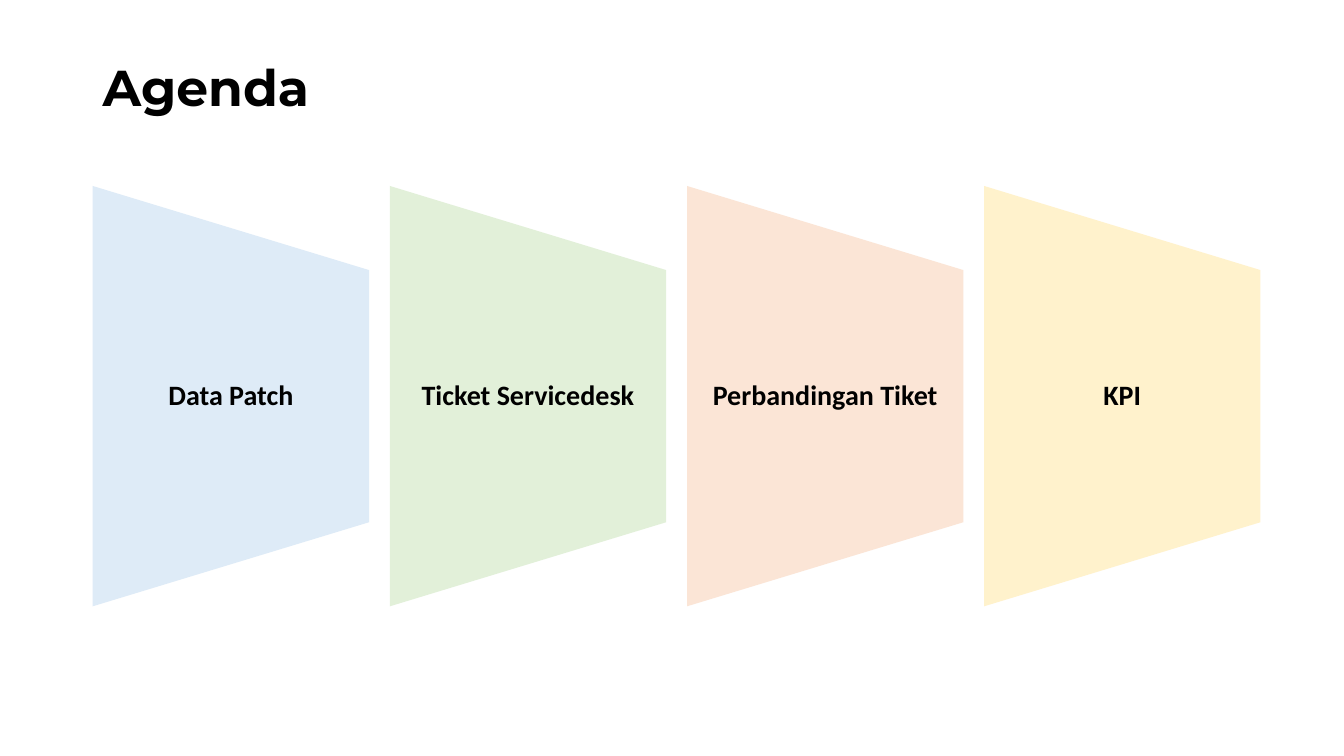
"""Build the agenda slide with four tapered topic panels."""
from dataclasses import dataclass

from pptx import Presentation
from pptx.dml.color import RGBColor
from pptx.enum import shapes, text
from pptx.util import Inches, Pt

TITLE = "Agenda"
TOPICS = [
    ("Data Patch", "DEEBF7"),
    ("Ticket Servicedesk", "E2F0D9"),
    ("Perbandingan Tiket", "FBE5D6"),
    ("KPI", "FFF2CC"),
]


@dataclass(frozen=True)
class Theme:
    ink: str = "000000"
    title_font: str = "Montserrat"
    title_size: int = 36
    label_font: str = "Calibri"
    label_size: int = 20


THEME = Theme()
LEFT, PANEL_WIDTH, PITCH = 0.92, 2.74, 2.947
PANEL_HEIGHT, LABEL_HEIGHT, CENTER_Y = 4.17, 2.5, 3.93


def add_text(slide, words, box, font, size, alignment, inset_x, inset_y):
    text_box = slide.shapes.add_textbox(*map(Inches, box))
    frame = text_box.text_frame
    frame.word_wrap = True
    frame.vertical_anchor = text.MSO_ANCHOR.MIDDLE
    frame.margin_left = frame.margin_right = Inches(inset_x)
    frame.margin_top = frame.margin_bottom = Inches(inset_y)
    frame.text = words
    paragraph = frame.paragraphs[0]
    paragraph.alignment = alignment
    paragraph.line_spacing = 0.9
    run_font = paragraph.runs[0].font
    run_font.name, run_font.size, run_font.bold = font, Pt(size), True
    run_font.color.rgb = RGBColor.from_string(THEME.ink)


def add_panel(slide, left, color):
    center_x = left + PANEL_WIDTH / 2
    panel = slide.shapes.add_shape(
        shapes.MSO_SHAPE.FLOWCHART_MANUAL_OPERATION,
        Inches(center_x - PANEL_HEIGHT / 2), Inches(CENTER_Y - PANEL_WIDTH / 2),
        Inches(PANEL_HEIGHT), Inches(PANEL_WIDTH))
    panel.rotation = 270
    panel.shadow.inherit = False
    panel.fill.solid()
    panel.fill.fore_color.rgb = RGBColor.from_string(color)
    panel.line.fill.background()


def main():
    presentation = Presentation()
    presentation.slide_width, presentation.slide_height = Inches(13.33), Inches(7.5)
    slide = presentation.slides.add_slide(presentation.slide_layouts[6])
    add_text(slide, TITLE, (LEFT, 0.4, 10.06, 1), THEME.title_font,
             THEME.title_size, text.PP_ALIGN.LEFT, 0.1, 0.05)
    for index, (label, color) in enumerate(TOPICS):
        left = LEFT + index * PITCH
        add_panel(slide, left, color)
        label_box = (left, CENTER_Y - LABEL_HEIGHT / 2, PANEL_WIDTH, LABEL_HEIGHT)
        add_text(slide, label, label_box, THEME.label_font,
                 THEME.label_size, text.PP_ALIGN.CENTER, 0.14, 0)
    presentation.save("out.pptx")


if __name__ == "__main__":
    main()
